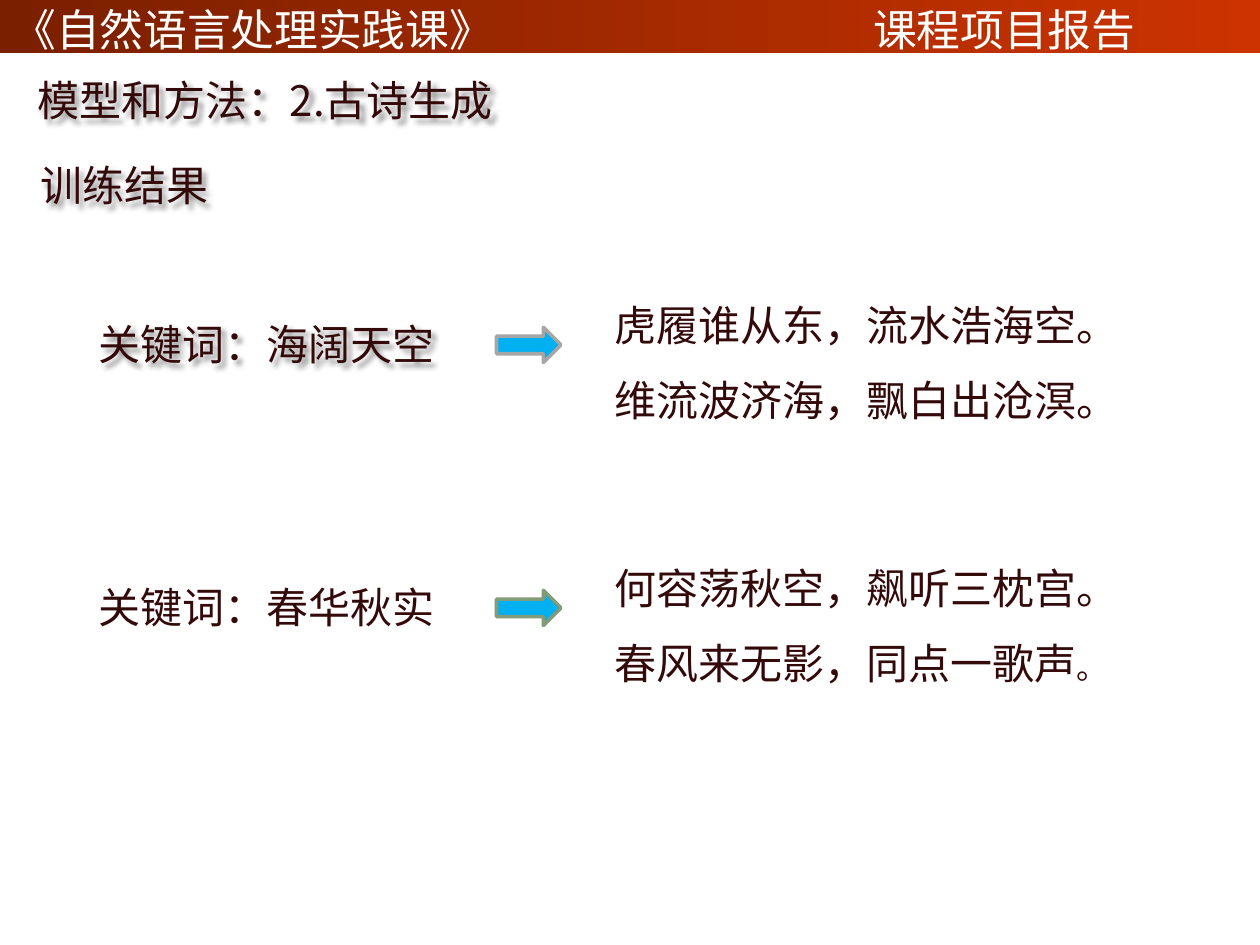
from lxml import etree
from pptx import Presentation
from pptx.dml.color import RGBColor
from pptx.enum import shapes, text
from pptx.oxml import parse_xml
from pptx.oxml.ns import nsdecls, qn
from pptx.util import Cm, Pt

INK = "330909"
SC, JP = "Noto Sans CJK SC", "Noto Sans CJK JP"


def rgb(value):
    return RGBColor.from_string(value)


def place(sp, x, y, w, h):
    sp.left, sp.top, sp.width, sp.height = Cm(x), Cm(y), Cm(w), Cm(h)


def add_run(p, words, size=24, font=SC, color=INK, ea=None):
    r = p.add_run()
    r.text = words
    r.font.size = Pt(size)
    r.font.name = font
    r.font.color.rgb = rgb(color)
    etree.SubElement(r.font._element, qn("a:ea"), typeface=ea or font)


def write(sp, *lines, align=text.PP_ALIGN.LEFT, spacing=1.0,
          anchor=text.MSO_ANCHOR.TOP, shadow=False, **font):
    """Fill a text shape with one paragraph per line."""
    tf = sp.text_frame
    tf.word_wrap = True
    tf.auto_size = text.MSO_AUTO_SIZE.NONE
    tf.vertical_anchor = anchor
    for i, line in enumerate(lines):
        p = tf.paragraphs[0] if i == 0 else tf.add_paragraph()
        p.alignment, p.line_spacing = align, spacing
        add_run(p, line, **font)
    if shadow:
        sp._element.spPr.append(parse_xml(
            f'<a:effectLst {nsdecls("a")}><a:outerShdw blurRad="38100" dist="38100" '
            'dir="2700000" algn="tl"><a:srgbClr val="000000"><a:alpha val="43000"/>'
            '</a:srgbClr></a:outerShdw></a:effectLst>'))
    return tf


def add_text(s, box, *lines, **fmt):
    sp = s.shapes.add_textbox(*map(Cm, box))
    return write(sp, *lines, **fmt)


def add_block(s, kind, box, fill=None, line=None):
    sp = s.shapes.add_shape(kind, *map(Cm, box))
    sp.shadow.inherit = False
    if fill:
        sp.fill.solid()
        sp.fill.fore_color.rgb = rgb(fill)
    if line:
        sp.line.color.rgb = rgb(line)
        sp.line.width = Pt(2)
    else:
        sp.line.fill.background()
    return sp


def add_header(s, x, y, w, h):
    # Gradient bar above the white page area
    rect = shapes.MSO_SHAPE.RECTANGLE
    bar = add_block(s, rect, (x, y, w, h))
    bar.fill.gradient()
    bar.fill.gradient_angle = 0
    for stop, color in zip(bar.fill.gradient_stops, ("7A1F00", "CC3300")):
        stop.color.rgb = rgb(color)
    add_block(s, rect, (x, y + h, w, 15.67), "FFFFFF")
    # Course name, then report label at a tab stop
    tf = add_text(s, (x, y - 0.08, w, 1.35), "《自然语言处理实践课》\t课程项目报告",
                  size=25, font="Roboto", ea=SC, color="FFFFFF",
                  anchor=text.MSO_ANCHOR.MIDDLE)
    tabs = etree.SubElement(tf.paragraphs[0]._p.get_or_add_pPr(), qn("a:tabLst"))
    etree.SubElement(tabs, qn("a:tab"), pos=str(Cm(17.35)), algn="l")


def add_headings(s, x, y):
    fmt = dict(font=JP, align=text.PP_ALIGN.JUSTIFY, spacing=1.25, shadow=True)
    title = s.shapes.title
    place(title, x, y, 10.4, 1.45)
    write(title, "模型和方法：2.古诗生成", **fmt)
    add_text(s, (x + 0.05, y + 1.72, 20.7, 1.55), "训练结果", **fmt)


def add_example(s, x, y, keyword, poem, poem_width, outline, shadow):
    """Keyword, arrow and the poem generated from it."""
    tf = add_text(s, (x + 10.41, y, poem_width, 3.1), *poem, spacing=1.5)
    add_text(s, (x, y + 0.9, 8.5, 1.27), "关键词：" + keyword, shadow=shadow)
    add_block(s, shapes.MSO_SHAPE.RIGHT_ARROW, (x + 8.28, y + 1.2, 1.3, 0.71),
              "00B0F0", outline)
    return tf


def main():
    prs = Presentation()
    prs.slide_width, prs.slide_height = Cm(25.4), Cm(19.05)
    s = prs.slides.add_slide(prs.slide_layouts[5])
    add_header(s, 0, 0, 25.4, 1.08)
    add_headings(s, 0.51, 1.12)
    # Generated poems
    add_example(s, 1.73, 5.4, "海阔天空",
                ("虎履谁从东，流水浩海空。", "维流波济海，飘白出沧溟。"),
                12.7, "A6A6A6", True)
    tf = add_example(s, 1.73, 10.7, "春华秋实",
                     ("何容荡秋空，飙听三枕宫。", "春风来无影，同点一歌声"),
                     10.57, "829B78", False)
    add_run(tf.paragraphs[-1], "。", size=18, font="Lato", ea=SC)
    # Bring the title in front of the header
    title = s.shapes.title._element
    title.getparent().append(title)
    prs.save("out.pptx")


if __name__ == "__main__":
    main()
